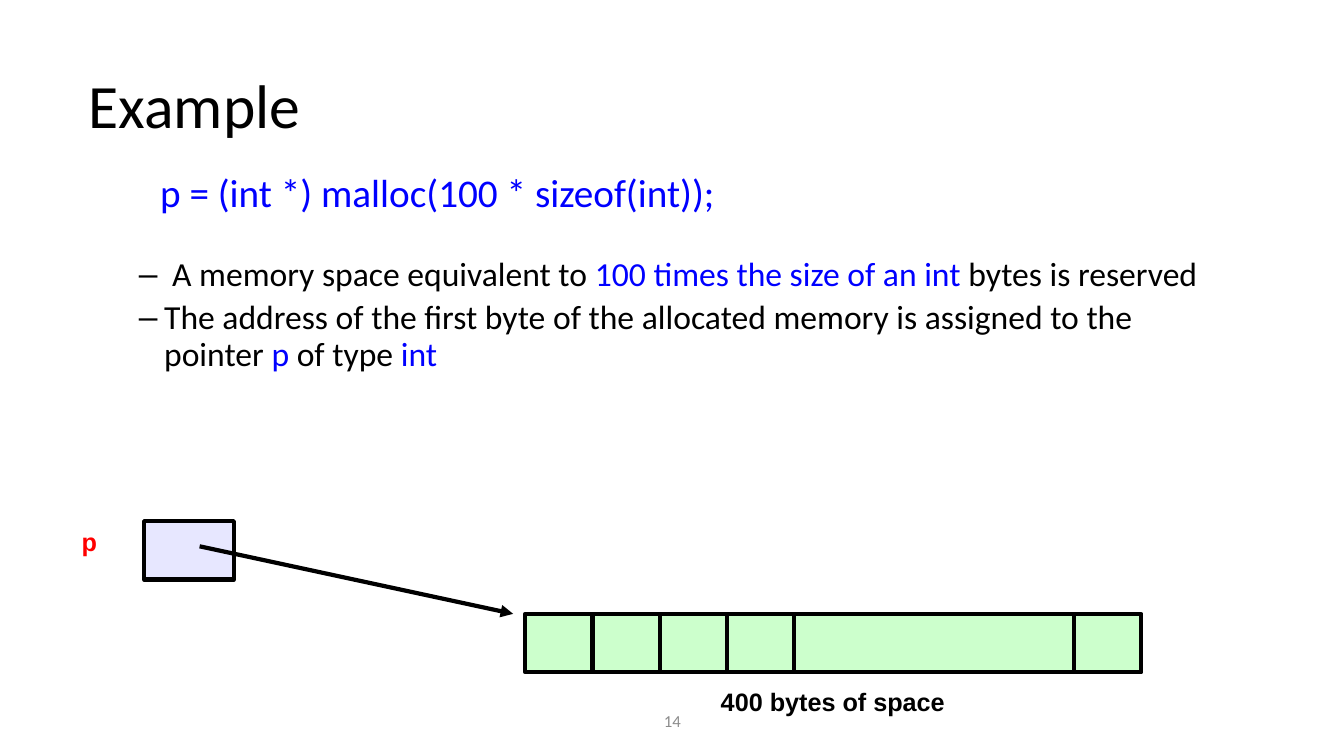
from dataclasses import dataclass
from lxml import etree
from pptx import Presentation
from pptx.dml.color import RGBColor
from pptx.enum.shapes import MSO_CONNECTOR, MSO_SHAPE
from pptx.enum.text import MSO_ANCHOR, PP_ALIGN
from pptx.oxml.ns import qn
from pptx.util import Inches, Pt

LEFT, MID = PP_ALIGN.LEFT, PP_ALIGN.CENTER
TOP, CENTRE = MSO_ANCHOR.TOP, MSO_ANCHOR.MIDDLE
RECT, LINE = MSO_SHAPE.RECTANGLE, MSO_CONNECTOR.STRAIGHT


@dataclass(frozen=True)
class Theme:
    ink: str = "000000"
    blue: str = "0000FF"
    red: str = "FF0000"
    grey: str = "8C8C8C"
    lilac: str = "E7E7FF"
    green: str = "CCFFCC"
    body: str = "Calibri"
    label: str = "Arial"
    head: int = 44
    code: int = 28
    item: int = 24
    tag: int = 18
    small: int = 12
    rule: int = 3


T = Theme()

# Content: each run is (text, colour)
TITLE = "Example"
CODE = [("p = (int *) malloc(100 * sizeof(int));", T.blue)]
POINTS = [
    [("A memory space equivalent to ", T.ink),
     ("100 times the size of an int", T.blue),
     (" bytes is reserved", T.ink)],
    [("The address of the first byte of the allocated memory is assigned "
      "to the pointer ", T.ink),
     ("p", T.blue), (" of type ", T.ink), ("int", T.blue)],
]
# Each point: left margin, hanging indent, space before
HANGS = [(0.83, 0.33, 30), (0.75, 0.25, 5)]
POINTER, SPACE, PAGE = "p", "400 bytes of space", "14"

# Diagram grid
WIDE, HIGH = 13.33, 7.5
ROW = 0.58
CELL = 2 / 3
STRIP = (5.21, 6.09, 6.11, ROW)
BOX = (1.43, 5.17, 0.89, ROW)
FIRST = 4  # cells shown one by one before the long gap


def color(code):
    return RGBColor.from_string(code)


def fill_par(par, runs, size, font, bold=False, align=LEFT):
    par.alignment = align
    for text, tint in runs:
        run = par.add_run()
        run.text = text
        run.font.name, run.font.size, run.font.bold = font, Pt(size), bold
        run.font.color.rgb = color(tint)


def indent(par, left, hang=0, before=0):
    """Set margin and spacing; a hanging indent also gets a dash bullet."""
    par.line_spacing = 0.9
    par.space_before = Pt(before)
    props = par._p.get_or_add_pPr()
    props.set("marL", str(Inches(left)))
    props.set("indent", str(-Inches(hang)))
    if hang:
        etree.SubElement(props, qn("a:buFont")).set("typeface", T.label)
        etree.SubElement(props, qn("a:buChar")).set("char", "–")


def add_text(slide, at, anchor=TOP):
    frame = slide.shapes.add_textbox(*map(Inches, at)).text_frame
    frame.word_wrap = True
    frame.vertical_anchor = anchor
    return frame


def add_label(slide, at, text, tint, size=T.tag, font=T.label, bold=True,
              anchor=TOP):
    par = add_text(slide, at, anchor).paragraphs[0]
    fill_par(par, [(text, tint)], size, font, bold, MID)


def add_box(slide, at, tint):
    box = slide.shapes.add_shape(RECT, *map(Inches, at))
    box.shadow.inherit = False
    box.fill.solid()
    box.fill.fore_color.rgb = color(tint)
    box.line.color.rgb = color(T.ink)
    box.line.width = Pt(T.rule)


def add_line(slide, start, end, arrow=False):
    line = slide.shapes.add_connector(LINE, *map(Inches, start + end))
    line.line.color.rgb = color(T.ink)
    line.line.width = Pt(T.rule)
    props = line._element.spPr
    if arrow:
        tail = etree.SubElement(props.find(qn("a:ln")), qn("a:tailEnd"))
        tail.set("type", "triangle")
    etree.SubElement(props, qn("a:effectLst"))


def add_title(slide):
    title = slide.shapes.title
    title.left, title.top = Inches(0.78), Inches(0.33)
    title.width, title.height = Inches(12), Inches(1.5)
    frame = title.text_frame
    frame.vertical_anchor = CENTRE
    par = frame.paragraphs[0]
    par.line_spacing = 0.9
    fill_par(par, [(TITLE, T.ink)], T.head, T.body)


def add_body(slide):
    frame = add_text(slide, (0.78, 1.67, 11.3, 4.19))
    par = frame.paragraphs[0]
    indent(par, 0.71)
    fill_par(par, CODE, T.code, T.body)
    for runs, hang in zip(POINTS, HANGS):
        par = frame.add_paragraph()
        indent(par, *hang)
        fill_par(par, runs, T.item, T.body)


def add_memory(slide):
    left, top, width, high = STRIP
    add_box(slide, STRIP, T.green)
    cuts = [left + CELL * i for i in range(1, FIRST + 1)]
    for x in cuts + [left + width - CELL]:
        add_line(slide, (x, top), (x, top + high))
    add_box(slide, BOX, T.lilac)
    add_line(slide, (1.98, 5.42), (5.09, top), arrow=True)
    add_label(slide, (0.44, BOX[1], BOX[2], 0.4), POINTER, T.red)
    add_label(slide, (5.54, 6.76, 5.44, 0.4), SPACE, T.ink)


def main():
    deck = Presentation()
    deck.slide_width, deck.slide_height = Inches(WIDE), Inches(HIGH)
    slide = deck.slides.add_slide(deck.slide_layouts.get_by_name("Title Only"))
    add_title(slide)
    add_label(slide, (4.56, 6.95, 4.22, 0.4), PAGE, T.grey, T.small, T.body,
              False, CENTRE)
    add_body(slide)
    add_memory(slide)
    deck.save("out.pptx")


if __name__ == "__main__":
    main()
